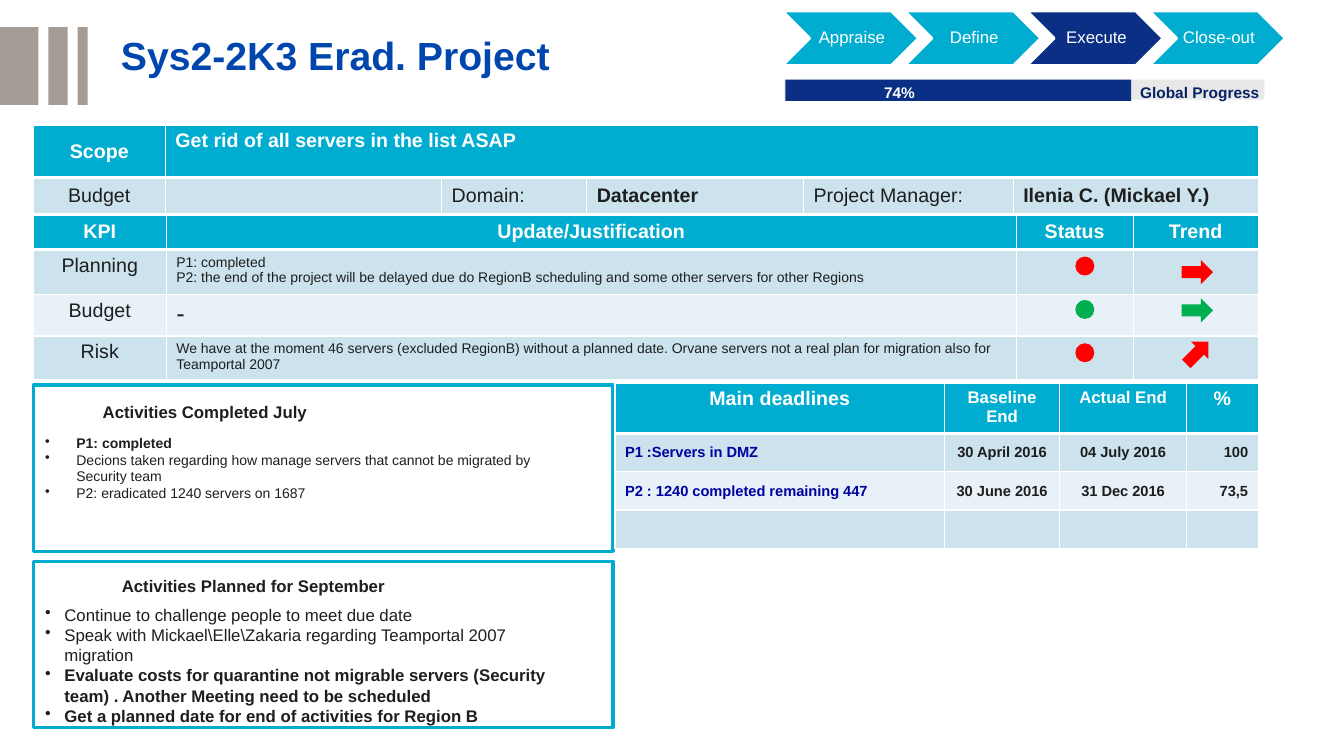
from lxml import etree
from pptx import Presentation
from pptx import util as u
from pptx.dml.color import RGBColor
from pptx.enum import shapes, text
from pptx.oxml.ns import qn

CYAN = RGBColor(0x00, 0xAD, 0xD0)
NAVY = RGBColor(0x0A, 0x2F, 0x85)
DEEP_NAVY = RGBColor(0x08, 0x23, 0x64)
TITLE_BLUE = RGBColor(0x00, 0x46, 0xAD)
LINK_BLUE = RGBColor(0x00, 0x00, 0xA0)
INK = RGBColor(0x1E, 0x1E, 0x1E)
WHITE = RGBColor(0xFF, 0xFF, 0xFF)
TAUPE = RGBColor(0xA5, 0x9D, 0x95)
GRAY = RGBColor(0xE8, 0xE8, 0xE8)
BAND = RGBColor(0xCC, 0xE3, 0xEE)
PALE = RGBColor(0xE7, 0xF1, 0xF7)
RED = RGBColor(0xFF, 0x00, 0x00)
GREEN = RGBColor(0x00, 0xB0, 0x50)

SHAPE = shapes.MSO_SHAPE
MIDDLE = text.MSO_ANCHOR.MIDDLE
TOP = text.MSO_ANCHOR.TOP
LEFT, CENTER, RIGHT = text.PP_ALIGN.LEFT, text.PP_ALIGN.CENTER, text.PP_ALIGN.RIGHT


def grid(cells):
    """Ten columns or rows of the grid make one inch."""
    return u.Inches(cells / 10)


class StatusSlide:
    FONT = "Arial"

    def __init__(self, deck):
        self.slide = deck.slides.add_slide(deck.slide_layouts[6])

    def add_words(self, paragraph, words, color=INK, align=LEFT, spacing=1.0, **font):
        paragraph.alignment = align
        paragraph.line_spacing = spacing
        run = paragraph.add_run()
        run.text = words
        run.font.color.rgb = color
        for name, value in {"name": self.FONT, "size": 14, "bold": False, **font}.items():
            setattr(run.font, name, u.Pt(value) if name == "size" else value)

    def shape(self, kind, left, top, width, height, fill, line=None, weight=2, turn=0):
        shape = self.slide.shapes.add_shape(kind, *map(grid, (left, top, width, height)))
        shape.shadow.inherit = False
        shape.rotation = turn
        shape.fill.solid()
        shape.fill.fore_color.rgb = fill
        if line is None:
            shape.line.fill.background()
        else:
            shape.line.color.rgb = line
            shape.line.width = u.Pt(weight)
        return shape

    def label(self, left, top, width, height, words, wrap=True, **style):
        frame = self.slide.shapes.add_textbox(*map(grid, (left, top, width, height))).text_frame
        frame.word_wrap = wrap
        self.add_words(frame.paragraphs[0], words, **style)
        return frame

    def chevron(self, left, top, words, fill):
        frame = self.shape(SHAPE.CHEVRON, left, top, 13.5, 5.4, fill, WHITE).text_frame
        insets = {"margin_left": 0.5, "margin_top": 0.2, "margin_right": 0.2, "margin_bottom": 0.2}
        for side, inset in insets.items():
            setattr(frame, side, grid(inset))
        frame.word_wrap = False
        frame.vertical_anchor = MIDDLE
        self.add_words(frame.paragraphs[0], words, color=WHITE, align=CENTER, spacing=0.9, size=12)

    def bullets(self, left, top, width, height, indent, items, size):
        frame = self.slide.shapes.add_textbox(*map(grid, (left, top, width, height))).text_frame
        frame.word_wrap = True
        for index, (words, bold) in enumerate(items):
            paragraph = frame.add_paragraph() if index else frame.paragraphs[0]
            self.add_words(paragraph, words, size=size, bold=bold)
            properties = paragraph._p.get_or_add_pPr()
            properties.set("marL", str(grid(indent)))
            properties.set("indent", str(-grid(indent)))
            etree.SubElement(properties, qn("a:buChar")).set("char", "•")

    def borders(self, cell, top, bottom):
        properties = cell._tc.get_or_add_tcPr()
        weights = {"a:lnL": 1, "a:lnR": 1, "a:lnT": top, "a:lnB": bottom}
        for index, (side, weight) in enumerate(weights.items()):
            line = etree.Element(qn(side), w=str(u.Pt(weight)))
            fill = etree.SubElement(line, qn("a:solidFill"))
            etree.SubElement(fill, qn("a:srgbClr")).set("val", str(WHITE))
            properties.insert(index, line)

    def table(self, left, top, columns, rows, content):
        """Each cell is None or (words, style); the first row is the header."""
        size = map(grid, (left, top, sum(columns), sum(rows)))
        table = self.slide.shapes.add_table(len(rows), len(columns), *size).table
        table.first_row = table.horz_banding = False
        for column, width in zip(table.columns, columns):
            column.width = grid(width)
        for r, (row, height) in enumerate(zip(table.rows, rows)):
            row.height = grid(height)
            for cell, entry in zip(row.cells, content[r]):
                cell.fill.solid()
                cell.fill.fore_color.rgb = CYAN if r == 0 else BAND if r % 2 else PALE
                self.borders(cell, top=3 if r == 1 else 1, bottom=3 if r == 0 else 1)
                if entry is None:
                    cell.margin_top = cell.margin_bottom = 0
                    continue
                words, style = entry
                style = dict(style)
                cell.vertical_anchor = style.pop("anchor", TOP)
                frame = cell.text_frame
                for index, part in enumerate(words.split("\n")):
                    paragraph = frame.add_paragraph() if index else frame.paragraphs[0]
                    self.add_words(paragraph, part, **style)
        return table


HEADER = {"color": WHITE, "align": CENTER, "bold": True}
HEADER_SMALL = {**HEADER, "size": 12}
FACT = {"anchor": MIDDLE}
FACT_BOLD = {**FACT, "bold": True}
KPI = {"align": CENTER}
NOTE = {"size": 10}
DATE = {"anchor": MIDDLE, "align": CENTER, "size": 10.5, "bold": True}
MILESTONE = {**DATE, "align": LEFT, "color": LINK_BLUE}
PERCENT = {**DATE, "align": RIGHT}


def main():
    deck = Presentation()
    deck.slide_width, deck.slide_height = u.Inches(13.33), u.Inches(7.5)
    page = StatusSlide(deck)

    # Title and side bars
    for left, width in ((0, 3.8), (4.8, 1.9), (7.7, 1)):
        page.shape(SHAPE.RECTANGLE, left, 2.7, width, 7.7, TAUPE)
    title = page.label(12, 1.9, 60, 7.6, "Sys2-2K3 Erad. Project",
                       color=TITLE_BLUE, size=28, bold=True, spacing=0.9)
    title.vertical_anchor = MIDDLE
    for side in ("left", "top", "right", "bottom"):
        setattr(title, f"margin_{side}", 0)

    # Project phases and progress
    for step, phase in enumerate(("Appraise", "Define", "Execute", "Close-out")):
        page.chevron(77.6 + 12.13 * step, 1.1, phase, NAVY if phase == "Execute" else CYAN)
    page.shape(SHAPE.RECTANGLE, 77.8, 7.9, 47.6, 2, GRAY)
    page.shape(SHAPE.RECTANGLE, 77.9, 7.9, 34.3, 2.1, NAVY)
    page.label(86.7, 7.8, 7.5, 2.9, "74%", color=WHITE, size=11, bold=True)
    page.label(112.1, 7.8, 14.4, 2.9, "Global Progress", wrap=False,
               color=DEEP_NAVY, size=11, bold=True)

    # Scope
    scope = page.table(3.3, 12.4, (13.1, 27.4, 14.4, 21.5, 20.8, 24.3), (5.2, 3.6), (
        (("Scope", {**HEADER, "anchor": MIDDLE}),
         ("Get rid of all servers in the list ASAP", {**HEADER, "align": LEFT}),
         None, None, None, None),
        (("Budget", {**FACT, "align": CENTER}), None, ("Domain:", FACT),
         ("Datacenter", FACT_BOLD), ("Project Manager:", FACT),
         ("Ilenia C. (Mickael Y.)", FACT_BOLD)),
    ))
    scope.cell(0, 1).merge(scope.cell(0, 5))

    # KPIs
    page.table(3.3, 21.4, (13.2, 84.3, 11.6, 12.4), (3.2, 4.5, 4.1, 4.3), (
        [(name, HEADER) for name in ("KPI", "Update/Justification", "Status", "Trend")],
        (("Planning", KPI),
         ("P1: completed\nP2: the end of the project will be delayed due do RegionB "
          "scheduling and some other servers for other Regions", NOTE), None, None),
        (("Budget", KPI), ("-", {"size": 18}), None, None),
        (("Risk", KPI),
         ("We have at the moment 46 servers (excluded RegionB) without a planned date. "
          "Orvane servers not a real plan for migration also for Teamportal 2007", NOTE),
         None, None),
    ))
    trends = ((25.6, 25.8, RED, 0), (29.9, 29.6, GREEN, 0), (34.2, 33.8, RED, 315))
    for status_top, trend_top, color, turn in trends:
        page.shape(SHAPE.OVAL, 106.8, status_top, 1.6, 1.6, color, color)
        page.shape(SHAPE.RIGHT_ARROW, 117.2, trend_top, 3.1, 2.4, color, turn=turn)

    # Activities
    for top in (38.2, 55.7):
        page.shape(SHAPE.RECTANGLE, 3.3, top, 57.5, 16.5, WHITE, CYAN, weight=2.25)
    heading = {"size": 12, "bold": True}
    page.label(9.2, 39.4, 26.8, 3, "Activities Completed July", **heading)
    page.label(11.1, 56.6, 30.7, 3, "Activities Planned for September", **heading)
    page.bullets(3.5, 42.6, 53.5, 7.7, 3.1, (
        ("P1: completed", True),
        ("Decions taken regarding how manage servers that cannot be migrated by "
         "Security team", False),
        ("P2: eradicated 1240 servers on 1687", False),
    ), size=10)
    page.bullets(3.5, 59.5, 53.5, 13.1, 1.9, (
        ("Continue to challenge people to meet due date", False),
        ("Speak with Mickael\\Elle\\Zakaria regarding Teamportal 2007 migration", False),
        ("Evaluate costs for quarantine not migrable servers (Security team) . "
         "Another Meeting need to be scheduled", True),
        ("Get a planned date for end of activities for Region B", True),
    ), size=12)

    # Deadlines
    page.table(61, 38, (32.7, 11.4, 12.6, 7.1), (5, 3.8, 3.8, 3.8), (
        (("Main deadlines", HEADER), ("Baseline End", HEADER_SMALL),
         ("Actual End", HEADER_SMALL), ("%", HEADER)),
        (("P1 :Servers in DMZ", MILESTONE), ("30 April 2016", DATE),
         ("04 July 2016", DATE), ("100", PERCENT)),
        (("P2 : 1240 completed remaining 447", MILESTONE), ("30 June 2016", DATE),
         ("31 Dec 2016", DATE), ("73,5", PERCENT)),
        (None,) * 4,
    ))

    deck.save("out.pptx")


if __name__ == "__main__":
    main()
